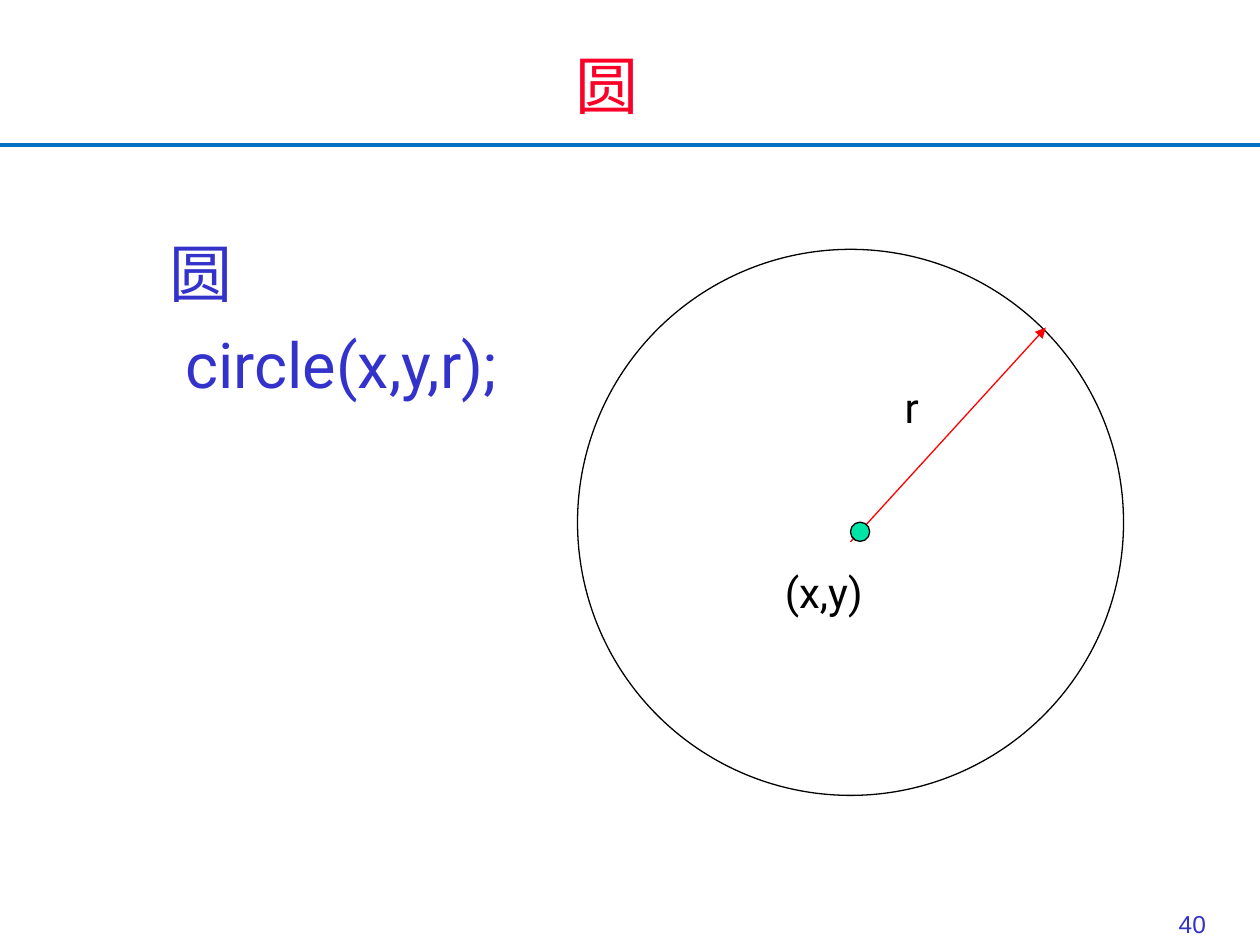
import pptx
import pptx.util
import pptx.dml.color
import pptx.enum.shapes
import pptx.enum.text
import pptx.oxml.ns
import lxml.etree

Pt = pptx.util.Pt
ALIGN = pptx.enum.text.PP_ALIGN
ANCHOR = pptx.enum.text.MSO_ANCHOR

COLORS = {
    "title": "FC0128",
    "body": "3333CC",
    "rule": "0070C0",
    "outline": "000000",
    "radius": "FF0000",
    "center": "00E4A8",
    "paper": "FFFFFF",
}
LATIN, HAN, NUMERAL = "Roboto", "Noto Sans CJK SC", "Arial"
SLIDE_WIDTH, SLIDE_HEIGHT = 720, 540

TEXTS = [
    (["圆"], (116, 23, 462, 49),
     dict(size=36, color="title", font=HAN, align=ALIGN.CENTER, fill="paper")),
    (["圆", "circle(x,y,r);"], (90, 130.3, 222, 102),
     dict(size=36, color="body", gap=9, indents=(0, 9))),
    (["(x,y)"], (441.4, 320.4, 122.4, 36), dict(size=24, color="outline")),
    (["r"], (509.8, 214.6, 44.6, 36), dict(size=24, color="outline")),
    (["40"], (658, 504, 38.2, 36),
     dict(size=14, color="body", font=NUMERAL, align=ALIGN.RIGHT, anchor=ANCHOR.BOTTOM)),
]
CIRCLE = (330, 142.5, 312)
CENTER_DOT = (486, 298.4, 11)
RADIUS = (486, 309.6, 597.6, 187.2)
RULE = (0, 82.8, SLIDE_WIDTH, 82.8)


def rgb(name):
    return pptx.dml.color.RGBColor.from_string(COLORS[name])


def add_text(slide, lines, box, *, size, color, font=LATIN, align=ALIGN.LEFT,
             anchor=ANCHOR.TOP, fill=None, gap=0, indents=(0,)):
    label = slide.shapes.add_textbox(*map(Pt, box))
    if fill:
        label.fill.solid()
        label.fill.fore_color.rgb = rgb(fill)
    frame = label.text_frame
    frame.word_wrap = True
    frame.vertical_anchor = anchor
    for index, (line, indent) in enumerate(zip(lines, indents)):
        paragraph = frame.paragraphs[0] if index == 0 else frame.add_paragraph()
        paragraph.alignment = align
        if index:
            paragraph.space_before = Pt(gap)
        if indent:
            paragraph._p.get_or_add_pPr().set("marL", str(Pt(indent)))
        run = paragraph.add_run()
        run.text = line
        run.font.size = Pt(size)
        run.font.name = font
        run.font.color.rgb = rgb(color)
        east_asian = lxml.etree.SubElement(run.font._element, pptx.oxml.ns.qn("a:ea"))
        east_asian.set("typeface", HAN)


def add_circle(slide, left, top, diameter, fill=None):
    circle = slide.shapes.add_shape(
        pptx.enum.shapes.MSO_SHAPE.OVAL, *map(Pt, (left, top, diameter, diameter)))
    circle.shadow.inherit = False
    if fill:
        circle.fill.solid()
        circle.fill.fore_color.rgb = rgb(fill)
    else:
        circle.fill.background()
    circle.line.color.rgb = rgb("outline")
    circle.line.width = Pt(0.75)


def add_line(slide, ends, color, width, arrow=False):
    line = slide.shapes.add_connector(
        pptx.enum.shapes.MSO_CONNECTOR.STRAIGHT, *map(Pt, ends))
    line.line.color.rgb = rgb(color)
    line.line.width = Pt(width)
    if arrow:
        tip = lxml.etree.SubElement(line.line._get_or_add_ln(), pptx.oxml.ns.qn("a:tailEnd"))
        tip.set("type", "triangle")
    lxml.etree.SubElement(line._element.spPr, pptx.oxml.ns.qn("a:effectLst"))


def main():
    deck = pptx.Presentation()
    deck.slide_width, deck.slide_height = Pt(SLIDE_WIDTH), Pt(SLIDE_HEIGHT)
    slide = deck.slides.add_slide(deck.slide_layouts[6])
    add_line(slide, RULE, "rule", 2)
    for lines, box, style in TEXTS:
        add_text(slide, lines, box, **style)
    add_circle(slide, *CIRCLE)
    add_line(slide, RADIUS, "radius", 0.75, arrow=True)
    add_circle(slide, *CENTER_DOT, fill="center")
    deck.save("out.pptx")


if __name__ == "__main__":
    main()
